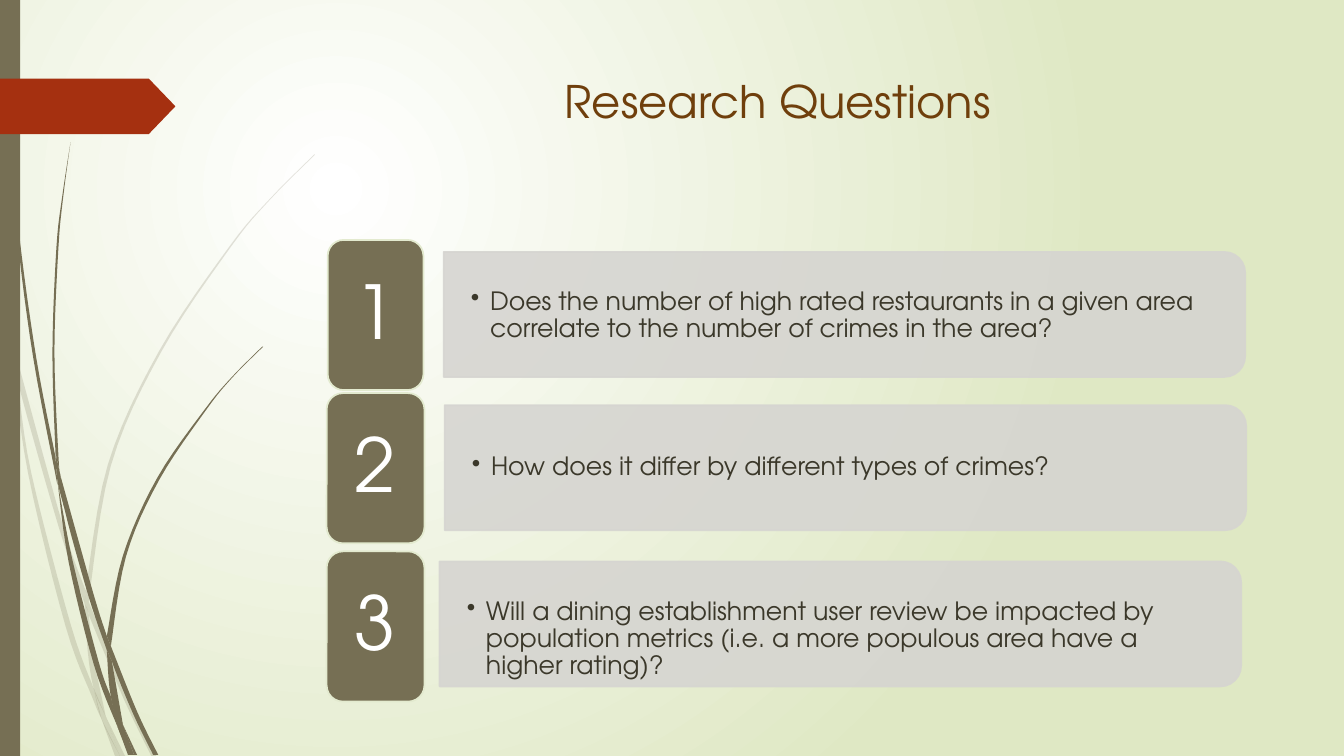
"""Build the Research Questions slide: grass backdrop, title and three numbered panels."""
from dataclasses import dataclass

from lxml import etree
from pptx import Presentation
from pptx.dml.color import RGBColor
from pptx.enum.shapes import MSO_SHAPE
from pptx.enum.text import MSO_ANCHOR, PP_ALIGN
from pptx.oxml.ns import qn
from pptx.util import Inches, Pt

RECT = MSO_SHAPE.RECTANGLE
ROUND_RECT = MSO_SHAPE.ROUNDED_RECTANGLE
PANEL = MSO_SHAPE.ROUND_2_SAME_RECTANGLE
PENTAGON = MSO_SHAPE.PENTAGON
CENTER = PP_ALIGN.CENTER
LEFT = PP_ALIGN.LEFT
TOP = MSO_ANCHOR.TOP
MIDDLE = MSO_ANCHOR.MIDDLE

WHITE = RGBColor(0xFF, 0xFF, 0xFF)
PALE_GREEN = RGBColor(0xDF, 0xE8, 0xC4)
OLIVE = RGBColor(0x76, 0x6F, 0x54)
RED = RGBColor(0xA5, 0x30, 0x10)
BROWN = RGBColor(0x6F, 0x3F, 0x0C)
GREY = RGBColor(0xD6, 0xD5, 0xD1)
TILE_EDGE = RGBColor(0xE3, 0xEA, 0xCF)
DARK = RGBColor(0x3B, 0x38, 0x2A)

FONT = "TeX Gyre Adventor"
PANEL_W, PANEL_H = 7.95, 1.24
TILE_H = 1.49
CURVE_STEPS = 6

Edge = list[tuple[float, float]]


@dataclass
class Blade:
    down: Edge
    back: Edge


@dataclass
class Question:
    number: str
    text: str
    tile_left: float
    tile_top: float
    tile_w: float
    panel_left: float
    panel_top: float
    text_top: float


@dataclass
class TextStyle:
    size: int
    color: RGBColor
    align: PP_ALIGN
    anchor: MSO_ANCHOR
    inset_x: float
    inset_y: float
    spacing: float = 1.0


TITLE = TextStyle(32, BROWN, CENTER, TOP, 0.1, 0.05)
NUMBER = TextStyle(53, WHITE, CENTER, MIDDLE, 0.22, 0.11, 0.9)
BODY = TextStyle(18, DARK, LEFT, MIDDLE, 0.27, 0.14, 0.9)

QUESTIONS = [
    Question("1", "Does the number of high rated restaurants in a given area "
             "correlate to the number of crimes in the area?",
             3.25, 2.38, 0.95, 4.4, 2.5, 2.57),
    Question("2", "How does it differ by different types of crimes?",
             3.24, 3.9, 0.97, 4.41, 4.02, 4.08),
    Question("3", "Will a dining establishment user review be impacted by population "
             "metrics (i.e. a more populous area have a higher rating)?",
             3.24, 5.47, 0.97, 4.36, 5.57, 5.78),
]

FAINT_BLADES = [
    Blade([(0.14, 3.45), (0.17, 3.76), (0.58, 5.22), (0.84, 5.99)],
          [(0.85, 5.86), (0.62, 5.2), (0.14, 3.45)]),
    Blade([(0.88, 6.1), (1.23, 6.94), (1.5, 7.5)],
          [(1.55, 7.5), (1.27, 6.92), (0.92, 6.07), (0.88, 5.96)]),
    Blade([(1.05, 7.11), (1.19, 7.5)], [(1.24, 7.5), (1.05, 7.11)]),
    Blade([(0.11, 3.5), (0.28, 4.7), (0.65, 6.21), (0.92, 6.93), (1.01, 7.14)],
          [(0.93, 6.83), (0.7, 6.19), (0.31, 4.69), (0.17, 3.76), (0.11, 3.5)]),
    Blade([(0.84, 5.99), (0.87, 6.46), (0.93, 6.83), (1.05, 7.11)],
          [(0.91, 6.46), (0.88, 6.1), (0.84, 5.99)]),
    Blade([(0.88, 5.96), (1.1, 4.62), (1.6, 3.49), (2.29, 2.45), (2.68, 1.98), (3.12, 1.54)],
          [(3.12, 1.53), (2.68, 1.97), (2.28, 2.44), (1.58, 3.48), (1.07, 4.61), (0.85, 5.86)]),
    Blade([(1.01, 7.14), (1.14, 7.5)], [(1.19, 7.5), (1.01, 7.14)]),
    Blade([(0.88, 6.08), (0.88, 5.96)], [(0.85, 5.86), (0.84, 5.99)]),
    Blade([(0.93, 6.83), (1.01, 7.14), (1.19, 7.5)], [(1.05, 7.11), (0.93, 6.83)]),
]

SOLID_BLADES = [
    Blade([(0.03, 0), (0.07, 1.1), (0.17, 2.33), (0.33, 3.55), (0.57, 4.81)],
          [(0.55, 4.53), (0.36, 3.55), (0.19, 2.32), (0.08, 1.09), (0.04, 0)]),
    Blade([(0.6, 4.72), (0.64, 5.05), (0.88, 5.92), (1.06, 6.45)],
          [(1.06, 6.31), (0.93, 5.9), (0.6, 4.72)]),
    Blade([(1.1, 6.41), (1.11, 6.56), (1.32, 7.08), (1.52, 7.49)],
          [(1.57, 7.49), (1.36, 7.06), (1.1, 6.41)]),
    Blade([(0.57, 4.77), (0.68, 5.57), (0.93, 6.59), (1.17, 7.22)],
          [(1.1, 6.91), (0.98, 6.57), (0.72, 5.56), (0.57, 4.77)]),
    Blade([(0.7, 1.41), (0.62, 1.93), (0.56, 2.45), (0.52, 3.49), (0.55, 4.49)],
          [(0.6, 4.72), (0.58, 4.53), (0.54, 3.49), (0.58, 2.45), (0.63, 1.93), (0.7, 1.41)]),
    Blade([(1.22, 7.19), (1.33, 7.49)], [(1.36, 7.49), (1.22, 7.19)]),
    Blade([(0.55, 4.49), (0.57, 4.77), (0.64, 5.05)], [(0.6, 4.72), (0.55, 4.49)]),
    Blade([(1.1, 6.41), (1.25, 5.52), (1.58, 4.76), (2.05, 4.06), (2.31, 3.74), (2.61, 3.44)],
          [(2.6, 3.44), (2.31, 3.73), (2.04, 4.05), (1.56, 4.74), (1.22, 5.51), (1.06, 6.31)]),
    Blade([(1.17, 7.22), (1.27, 7.49)], [(1.31, 7.49), (1.17, 7.22)]),
    Blade([(1.06, 6.45), (1.1, 6.91), (1.22, 7.19)], [(1.11, 6.56), (1.06, 6.45)]),
    Blade([(1.06, 6.31), (1.06, 6.45)], [(1.11, 6.56), (1.1, 6.41)]),
    Blade([(1.1, 6.91), (1.17, 7.22), (1.3, 7.49)], [(1.33, 7.49), (1.22, 7.19), (1.1, 6.91)]),
]


def smooth(edge: Edge) -> Edge:
    pts = [edge[0], *edge, edge[-1]]
    out = [edge[0]]
    for a, b, c, d in zip(pts, pts[1:], pts[2:], pts[3:]):
        for step in range(1, CURVE_STEPS + 1):
            t = step / CURVE_STEPS
            out.append(tuple(
                q + t * ((r - p) + t * ((2 * p - 5 * q + 4 * r - s) + t * (3 * q - p - 3 * r + s))) / 2
                for p, q, r, s in zip(a, b, c, d)))
    return out


def paint(sp, color: RGBColor, edge: RGBColor | None = None, alpha: int = 100) -> None:
    sp.shadow.inherit = False
    sp.fill.solid()
    sp.fill.fore_color.rgb = color
    if edge is None:
        sp.line.fill.background()
    else:
        sp.line.color.rgb = edge
        sp.line.width = Pt(1.25)
    if alpha < 100:
        for clr in sp._element.spPr.iter(qn("a:srgbClr")):
            etree.SubElement(clr, qn("a:alpha"), val=str(alpha * 1000))


def add_box(slide, kind, left: float, top: float, width: float, height: float):
    return slide.shapes.add_shape(kind, *map(Inches, (left, top, width, height)))


def add_textbox(slide, left: float, top: float, width: float, height: float):
    return slide.shapes.add_textbox(*map(Inches, (left, top, width, height)))


def write(sp, text: str, style: TextStyle):
    tf = sp.text_frame
    frame = {"word_wrap": True, "vertical_anchor": style.anchor,
             "margin_left": Inches(style.inset_x), "margin_right": Inches(style.inset_x),
             "margin_top": Inches(style.inset_y), "margin_bottom": Inches(style.inset_y)}
    p = tf.paragraphs[0]
    r = p.add_run()
    r.text = text
    r.font.color.rgb = style.color
    for obj, formats in ((tf, frame),
                         (p, {"alignment": style.align, "line_spacing": style.spacing}),
                         (r.font, {"name": FONT, "size": Pt(style.size)})):
        for name, value in formats.items():
            setattr(obj, name, value)
    return p


def add_bullet(p) -> None:
    pPr = p._p.get_or_add_pPr()
    for name, value in {"marL": Inches(0.19), "indent": -Inches(0.19)}.items():
        pPr.set(name, str(value))
    etree.SubElement(pPr, qn("a:buChar"), char="•")


def set_background(slide) -> None:
    fill = slide.background.fill
    fill.gradient()
    for stop, color, position in zip(fill.gradient_stops, (WHITE, PALE_GREEN), (0, 1)):
        stop.color.rgb = color
        stop.position = position
    grad = slide._element.find(".//" + qn("a:gradFill"))
    grad.remove(grad.find(qn("a:lin")))
    circle = etree.SubElement(grad, qn("a:path"), path="circle")
    etree.SubElement(circle, qn("a:fillToRect"), l="50000", t="50000", r="100000", b="100000")


def add_blade(slide, blade: Blade, alpha: int) -> None:
    pts = [(Inches(x), Inches(y)) for x, y in smooth(blade.down) + smooth(blade.back)]
    builder = slide.shapes.build_freeform(*pts[0])
    builder.add_line_segments(pts[1:], close=True)
    paint(builder.convert_to_shape(), OLIVE, alpha=alpha)


def add_question(slide, q: Question) -> None:
    shift = (PANEL_W - PANEL_H) / 2
    sp = add_box(slide, PANEL, q.panel_left + shift, q.panel_top - shift, PANEL_H, PANEL_W)
    sp.rotation = 90
    paint(sp, GREY, GREY, 90)
    add_bullet(write(add_textbox(slide, q.panel_left, q.text_top, 7.89, 1.12), q.text, BODY))
    tile = add_box(slide, ROUND_RECT, q.tile_left, q.tile_top, q.tile_w, TILE_H)
    paint(tile, OLIVE, TILE_EDGE)
    write(tile, q.number, NUMBER)


def main() -> None:
    prs = Presentation()
    prs.slide_width, prs.slide_height = Inches(13.33), Inches(7.5)
    slide = prs.slides.add_slide(prs.slide_layouts[6])
    set_background(slide)
    for blades, alpha in ((FAINT_BLADES, 20), (SOLID_BLADES, 100)):
        for blade in blades:
            add_blade(slide, blade, alpha)
    paint(add_box(slide, RECT, 0, 0, 0.2, 7.5), OLIVE)
    flag = add_box(slide, PENTAGON, 0, 0.78, 1.74, 0.55)
    flag.adjustments[0] = 0.48
    paint(flag, RED)
    write(add_textbox(slide, 2.84, 0.68, 9.75, 1.4), "Research Questions", TITLE)
    for q in QUESTIONS:
        add_question(slide, q)
    prs.save("out.pptx")


if __name__ == "__main__":
    main()
